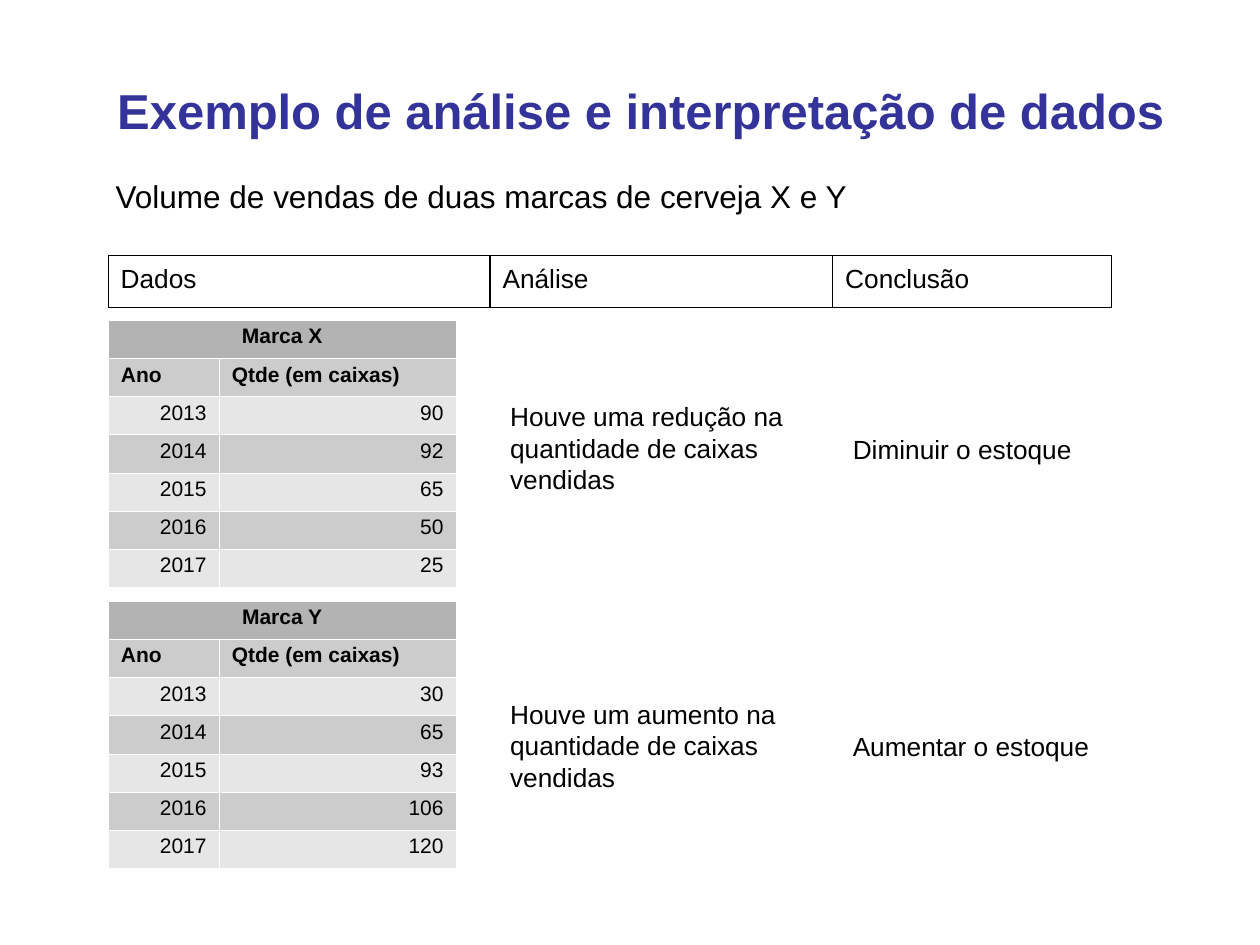
"""Build the slide that reads sales of two beer brands as data, analysis and conclusion."""
from lxml import etree
from pptx import Presentation, util as u
from pptx.dml.color import RGBColor
from pptx.enum import shapes, text
from pptx.oxml import ns

deck = Presentation()
deck.slide_width, deck.slide_height = u.Inches(10), u.Inches(7.5)
slide = deck.slides.add_slide(deck.slide_layouts[5])


def color(value):
    return RGBColor.from_string(value)


def write(frame, wording, size, ink="000000", anchor=text.MSO_ANCHOR.TOP,
          align=text.PP_ALIGN.LEFT, bold=False, spacing=1.0, indent=0):
    frame.text = wording
    frame.word_wrap = True
    frame.vertical_anchor = anchor
    line = frame.paragraphs[0]
    line.alignment, line.line_spacing = align, spacing
    if indent:
        line._p.get_or_add_pPr().set("marL", str(u.Inches(indent)))
    font = line.runs[0].font
    for name, value in {"name": "Arial", "size": u.Pt(size), "bold": bold}.items():
        setattr(font, name, value)
    font.color.rgb = color(ink)


edges = [u.Inches(x) for x in (0.86, 3.89, 6.61, 8.82)]
widths = [right - left for left, right in zip(edges, edges[1:])]

heading = slide.shapes.title
place = {"left": 0.83, "top": 0.56, "width": 8.57, "height": 0.63}
for side, inches in place.items():
    setattr(heading, side, u.Inches(inches))
write(heading.text_frame, "Exemplo de análise e interpretação de dados", 28, "333399",
      anchor=text.MSO_ANCHOR.MIDDLE, bold=True)
heading.text_frame.auto_size = text.MSO_AUTO_SIZE.NONE

subject = slide.shapes.add_textbox(u.Inches(0.82), u.Inches(1.36), u.Inches(8.28), u.Inches(0.77))
write(subject.text_frame, "Volume de vendas de duas marcas de cerveja X e Y", 18)

for left, width, stage in zip(edges, widths, ("Dados", "Análise", "Conclusão")):
    header = slide.shapes.add_shape(shapes.MSO_SHAPE.RECTANGLE, left, u.Inches(2.03),
                                    width, u.Inches(0.41))
    header.shadow.inherit = False
    header.fill.background()
    header.line.color.rgb = color("000000")
    header.line.width = u.Pt(0.75)
    write(header.text_frame, stage, 15)

years = range(2013, 2018)
brands = [
    ("Marca X", 2.54, (90, 92, 65, 50, 25),
     "Houve uma redução na quantidade de caixas vendidas", 3.13,
     "Diminuir o estoque", 3.39),
    ("Marca Y", 4.77, (30, 65, 93, 106, 120),
     "Houve um aumento na quantidade de caixas vendidas", 5.49,
     "Aumentar o estoque", 5.75),
]
for brand, table_top, boxes, analysis, analysis_top, conclusion, conclusion_top in brands:
    rows = [(brand, ""), ("Ano", "Qtde (em caixas)"), *zip(years, boxes)]
    sales = slide.shapes.add_table(len(rows), 2, edges[0], u.Inches(table_top),
                                   u.Inches(2.76), u.Inches(2.12)).table
    for column, inches in zip(sales.columns, (0.88, 1.88)):
        column.width = u.Inches(inches)
    sales.cell(0, 0).merge(sales.cell(0, 1))
    for r, row in enumerate(rows):
        shade = "B3B3B3" if r == 0 else ("E6E6E6", "CCCCCC")[r % 2]
        if r < 2:
            align = (text.PP_ALIGN.CENTER, text.PP_ALIGN.LEFT)[r]
            shade = ("B3B3B3", "CCCCCC")[r]
        else:
            align = text.PP_ALIGN.RIGHT
        for c, value in enumerate(row):
            cell = sales.cell(r, c)
            if value != "":
                write(cell.text_frame, str(value), 12, align=align, bold=r < 2, spacing=0.93)
            props = cell._tc.get_or_add_tcPr()
            for edge in ("a:lnL", "a:lnR", "a:lnT", "a:lnB"):
                border = etree.SubElement(props, ns.qn(edge), w=str(u.Pt(0.06)))
                ink = etree.SubElement(border, ns.qn("a:solidFill"))
                etree.SubElement(ink, ns.qn("a:srgbClr"), val="FFFFFF")
            cell.fill.solid()
            cell.fill.fore_color.rgb = color(shade)

    for column, wording, top, height in ((1, analysis, analysis_top, 0.85),
                                         (2, conclusion, conclusion_top, 0.53)):
        note = slide.shapes.add_textbox(edges[column], u.Inches(top),
                                        widths[column], u.Inches(height))
        write(note.text_frame, wording, 15, indent=0.06)

deck.save("out.pptx")
